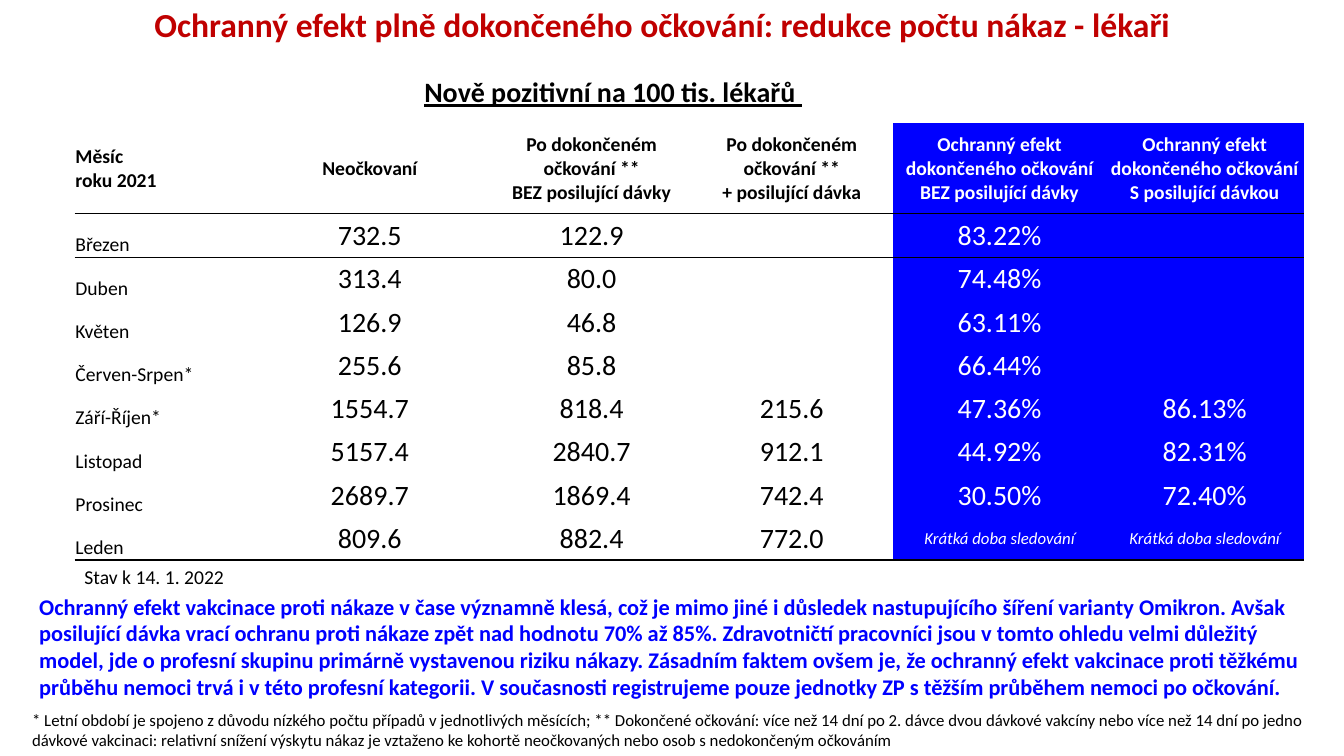
from lxml.etree import SubElement
from pptx import Presentation
from pptx.dml.color import RGBColor
from pptx.enum.text import MSO_ANCHOR, PP_ALIGN
from pptx.oxml.ns import qn
from pptx.util import Cm, Pt

BLACK, WHITE, BLUE, RED = "000000", "FFFFFF", "0000FF", "C00000"
PLAIN_STYLE = "{2D5ABB26-0587-4C30-8999-92F81FD0307C}"
LEFT, CENTER = PP_ALIGN.LEFT, PP_ALIGN.CENTER

TITLE = "Ochranný efekt plně dokončeného očkování: redukce počtu nákaz - lékaři"
SUBTITLE = "Nově pozitivní na 100 tis. lékařů "
STATUS = "Stav k 14. 1. 2022"
SUMMARY = (
    "Ochranný efekt vakcinace proti nákaze v čase významně klesá, což je mimo jiné i "
    "důsledek nastupujícího šíření varianty Omikron. Avšak posilující dávka vrací ochranu "
    "proti nákaze zpět nad hodnotu 70% až 85%. Zdravotničtí pracovníci jsou v tomto ohledu "
    "velmi důležitý model, jde o profesní skupinu primárně vystavenou riziku nákazy. "
    "Zásadním faktem ovšem je, že ochranný efekt vakcinace proti těžkému průběhu nemoci "
    "trvá i v této profesní kategorii. V současnosti registrujeme pouze jednotky ZP s "
    "těžším průběhem nemoci po očkování."
)
NOTE = (
    "* Letní období je spojeno z důvodu nízkého počtu případů v jednotlivých měsících; "
    "** Dokončené očkování: více než 14 dní po 2. dávce dvou dávkové vakcíny nebo více než "
    "14 dní po jedno dávkové vakcinaci: relativní snížení výskytu nákaz je vztaženo ke "
    "kohortě neočkovaných nebo osob s nedokončeným očkováním"
)
SHORT = "Krátká doba sledování"
HEADS = [
    "Měsíc\nroku 2021",
    "Neočkovaní",
    "Po dokončeném\nočkování **\nBEZ posilující dávky",
    "Po dokončeném\nočkování **\n+ posilující dávka",
    "Ochranný efekt dokončeného očkování BEZ posilující dávky",
    "Ochranný efekt dokončeného očkování S posilující dávkou",
]
MONTHS = [
    ("Březen", "732.5", "122.9", "", "83.22%", ""),
    ("Duben", "313.4", "80.0", "", "74.48%", ""),
    ("Květen", "126.9", "46.8", "", "63.11%", ""),
    ("Červen-Srpen*", "255.6", "85.8", "", "66.44%", ""),
    ("Září-Říjen*", "1554.7", "818.4", "215.6", "47.36%", "86.13%"),
    ("Listopad", "5157.4", "2840.7", "912.1", "44.92%", "82.31%"),
    ("Prosinec", "2689.7", "1869.4", "742.4", "30.50%", "72.40%"),
    ("Leden", "809.6", "882.4", "772.0", SHORT, SHORT),
]
WIDTHS = [4.34, 6.2, 4.98, 5.11, 5.36, 4.98]
ROW, HEAD = 1.09, 2.29
FIRST_BLUE = 4  # first column of the protective effect


def color(code):
    return RGBColor.from_string(code)


def write(frame, text, size, code, align=LEFT, bold=False, italic=False):
    frame.text = text
    for par in frame.paragraphs:
        par.alignment = align
        font = par.font
        font.name, font.size = "Calibri", Pt(size)
        font.bold, font.italic = bold, italic
        font.color.rgb = color(code)


def add_text(slide, place, *style, **more):
    frame = slide.shapes.add_textbox(*map(Cm, place)).text_frame
    frame.word_wrap = True
    write(frame, *style, **more)
    return frame.paragraphs[0]


def rule(cell, side):
    """Draw a black 1 pt border on one side of a cell: lnT or lnB."""
    props = cell._tc.get_or_add_tcPr()
    line = SubElement(props, qn("a:" + side), w=str(Pt(1)))
    fill = SubElement(line, qn("a:solidFill"))
    SubElement(fill, qn("a:srgbClr"), val=BLACK)
    props.insert(0, line)


def fill_cell(cell, text, row, col):
    cell.margin_left = cell.margin_right = cell.margin_top = Cm(0.02)
    cell.margin_bottom = 0
    head, month, blue = row == 1, col == 0, col >= FIRST_BLUE
    low = month and not head
    cell.vertical_anchor = MSO_ANCHOR.BOTTOM if low else MSO_ANCHOR.MIDDLE
    if blue:
        cell.fill.solid()
        cell.fill.fore_color.rgb = color(BLUE)
    else:
        cell.fill.background()
    short = text == SHORT
    size = 12 if short else 14 if head or month else 20
    write(cell.text_frame, text, size, WHITE if blue else BLACK,
          LEFT if month else CENTER, head, short)
    if row in (1, len(MONTHS) + 1):
        rule(cell, "lnB")
    if row == 2:
        rule(cell, "lnT")


def add_rates(slide):
    rows = [HEADS, *MONTHS]
    heights = [ROW, HEAD] + [ROW] * len(MONTHS)
    place = 1.88, 2.01, sum(WIDTHS), sum(heights)
    table = slide.shapes.add_table(len(heights), len(WIDTHS), *map(Cm, place)).table
    table.first_row = table.horz_banding = False
    table._tbl.tblPr.find(qn("a:tableStyleId")).text = PLAIN_STYLE
    for col, width in zip(table.columns, WIDTHS):
        col.width = Cm(width)
    for row, height in zip(table.rows, heights):
        row.height = Cm(height)
    for cell in table.rows[0].cells:
        cell.fill.background()
    table.cell(0, 2).merge(table.cell(0, 5))
    for r, texts in enumerate(rows, 1):
        for c, text in enumerate(texts):
            fill_cell(table.cell(r, c), text, r, c)


def main():
    deck = Presentation()
    deck.slide_width, deck.slide_height = Cm(33.87), Cm(19.05)
    slide = deck.slides.add_slide(deck.slide_layouts[6])
    add_rates(slide)
    title = add_text(slide, (0.56, 0.1, 32.26, 3.68), TITLE, 24, RED, CENTER, bold=True)
    title.line_spacing = 0.9
    sub = add_text(slide, (9.83, 1.75, 11.25, 1.12), SUBTITLE, 20, BLACK, CENTER, bold=True)
    sub.font.underline = True
    add_text(slide, (0.56, 17.75, 32.99, 1.27), NOTE, 12, BLACK)
    add_text(slide, (1.88, 14.1, 5.61, 0.86), STATUS, 14, BLACK)
    add_text(slide, (0.74, 14.81, 32.69, 3), SUMMARY, 16, BLUE, bold=True)
    deck.save("out.pptx")


if __name__ == "__main__":
    main()
